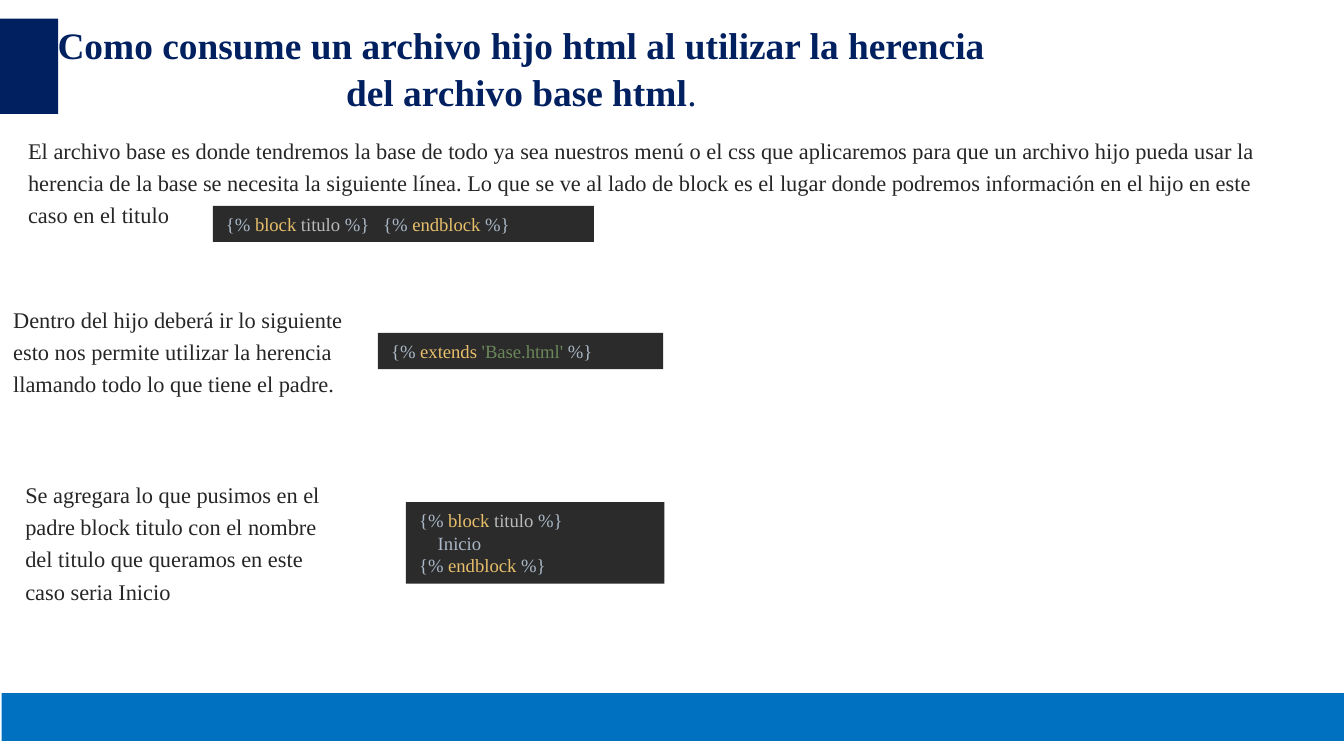
import pptx
import pptx.dml.color
import pptx.enum.shapes
import pptx.enum.text
import pptx.util

Pt = pptx.util.Pt
FONT = "Times New Roman"
NAVY, BLUE, TEXT, CODE_FILL = "002060", "0070C0", "262626", "2B2B2B"
PLAIN, TAG, NAME, STRING = "A9B7C6", "E8BF6A", "BABABA", "6A8759"

# Content: boxes are left, top, width, height in points
BANDS = [
    ((0, 10, 31.2, 51), NAVY),
    ((0.9, 371.4, 720, 25.5), BLUE),
]
TITLE_BOX = (21.6, 7.2, 515.5, 56.2)
TITLE = [
    ("Como consume un archivo hijo html al utilizar la herencia del archivo base html", True),
    (".", False),
]
EXPLANATIONS = [
    ((8, 67, 688.3, 60),
     "El archivo base es donde tendremos la base de todo ya sea nuestros menú o el css "
     "que aplicaremos para que un archivo hijo pueda usar la herencia de la base se necesita "
     "la siguiente línea. Lo que se ve al lado de block es el lugar donde podremos "
     "información en el hijo en este caso en el titulo"),
    ((0, 157.5, 199.4, 60),
     "Dentro del hijo deberá ir lo siguiente esto nos permite utilizar la herencia "
     "llamando todo lo que tiene el padre."),
    ((6.5, 251.3, 184.3, 77),
     "Se agregara lo que pusimos en el padre block titulo con el nombre del titulo que "
     "queramos en este caso seria Inicio"),
]
# Each code box holds lines, each line holds coloured pieces
CODE_BOXES = [
    ((114, 110.3, 204.2, 19.4),
     [[("{% ", PLAIN), ("block ", TAG), ("titulo ", NAME), ("%}   {% ", PLAIN),
       ("endblock ", TAG), ("%}", PLAIN)]]),
    ((202.5, 178.4, 152.8, 19.4),
     [[("{% ", PLAIN), ("extends ", TAG), ("'Base.html' ", STRING), ("%}", PLAIN)]]),
    ((217.5, 269, 138.5, 43.7),
     [[("{% ", PLAIN), ("block ", TAG), ("titulo ", NAME), ("%}", PLAIN)],
      [("    Inicio", PLAIN)],
      [("{% ", PLAIN), ("endblock ", TAG), ("%}", PLAIN)]]),
]


def color(value):
    return pptx.dml.color.RGBColor.from_string(value)


def set_values(target, values):
    for name, value in values.items():
        setattr(target, name, value)


def add_run(paragraph, text, size, fill, bold=False):
    run = paragraph.add_run()
    run.text = text
    set_values(run.font, {"name": FONT, "size": Pt(size), "bold": bold})
    run.font.color.rgb = color(fill)


def add_rectangle(slide, box, fill):
    shape = slide.shapes.add_shape(
        pptx.enum.shapes.MSO_SHAPE.RECTANGLE, *map(Pt, box))
    shape.shadow.inherit = False
    shape.fill.solid()
    shape.fill.fore_color.rgb = color(fill)
    shape.line.fill.background()
    return shape


def main():
    presentation = pptx.Presentation()
    set_values(presentation, {"slide_width": Pt(720), "slide_height": Pt(405)})
    slide = presentation.slides.add_slide(presentation.slide_layouts[5])
    align = pptx.enum.text.PP_ALIGN
    anchor = pptx.enum.text.MSO_ANCHOR

    # Colour bands
    for box, fill in BANDS:
        add_rectangle(slide, box, fill)

    # Title
    title = slide.shapes.title
    set_values(title, dict(zip(("left", "top", "width", "height"), map(Pt, TITLE_BOX))))
    set_values(title.text_frame, {
        "word_wrap": True, "vertical_anchor": anchor.TOP,
        "auto_size": pptx.enum.text.MSO_AUTO_SIZE.NONE})
    paragraph = title.text_frame.paragraphs[0]
    set_values(paragraph, {"alignment": align.CENTER, "line_spacing": 1.05})
    for text, bold in TITLE:
        add_run(paragraph, text, 20, NAVY, bold)

    # Explanations
    for box, text in EXPLANATIONS:
        frame = slide.shapes.add_textbox(*map(Pt, box)).text_frame
        frame.word_wrap = True
        frame.paragraphs[0].line_spacing = 1.2
        add_run(frame.paragraphs[0], text, 12, TEXT)

    # Code boxes
    for box, lines in CODE_BOXES:
        frame = add_rectangle(slide, box, CODE_FILL).text_frame
        set_values(frame, {"word_wrap": True, "vertical_anchor": anchor.MIDDLE})
        for index, pieces in enumerate(lines):
            paragraph = frame.add_paragraph() if index else frame.paragraphs[0]
            paragraph.alignment = align.LEFT
            for text, fill in pieces:
                add_run(paragraph, text, 10, fill)

    presentation.save("out.pptx")


if __name__ == "__main__":
    main()
